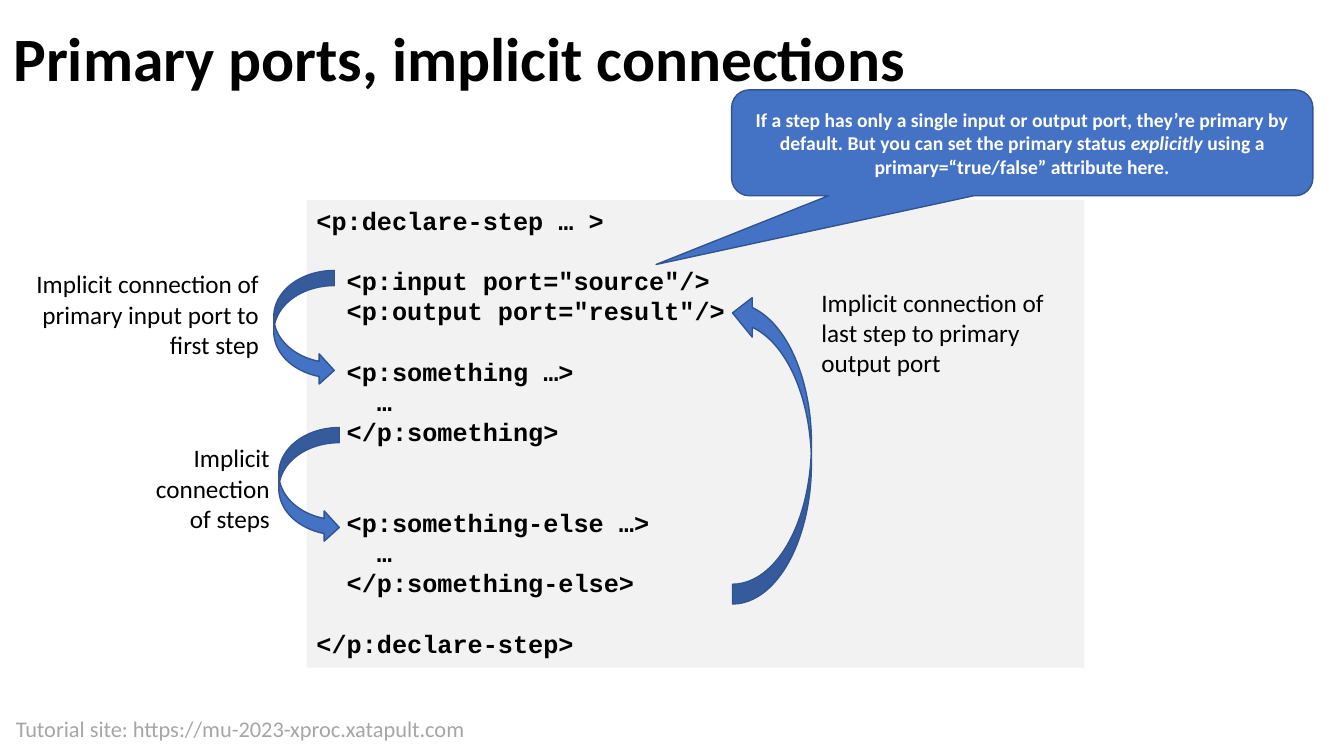
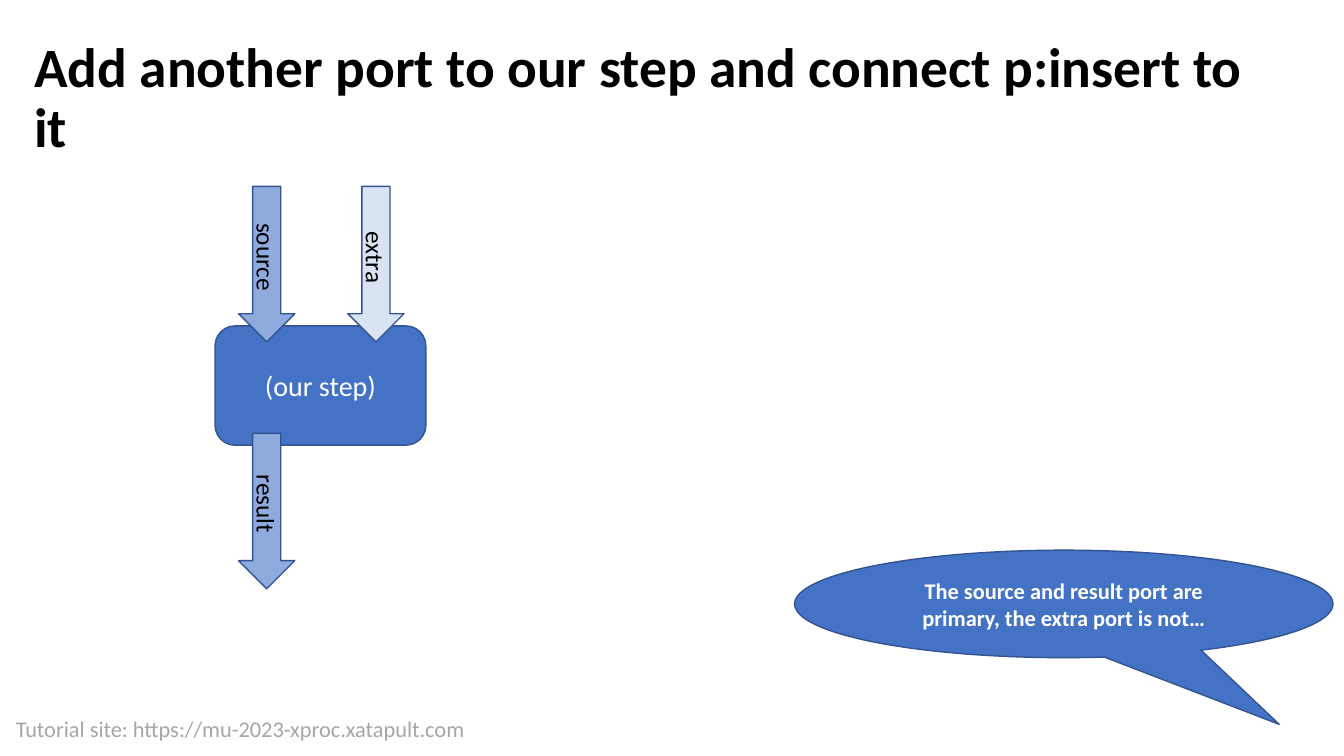
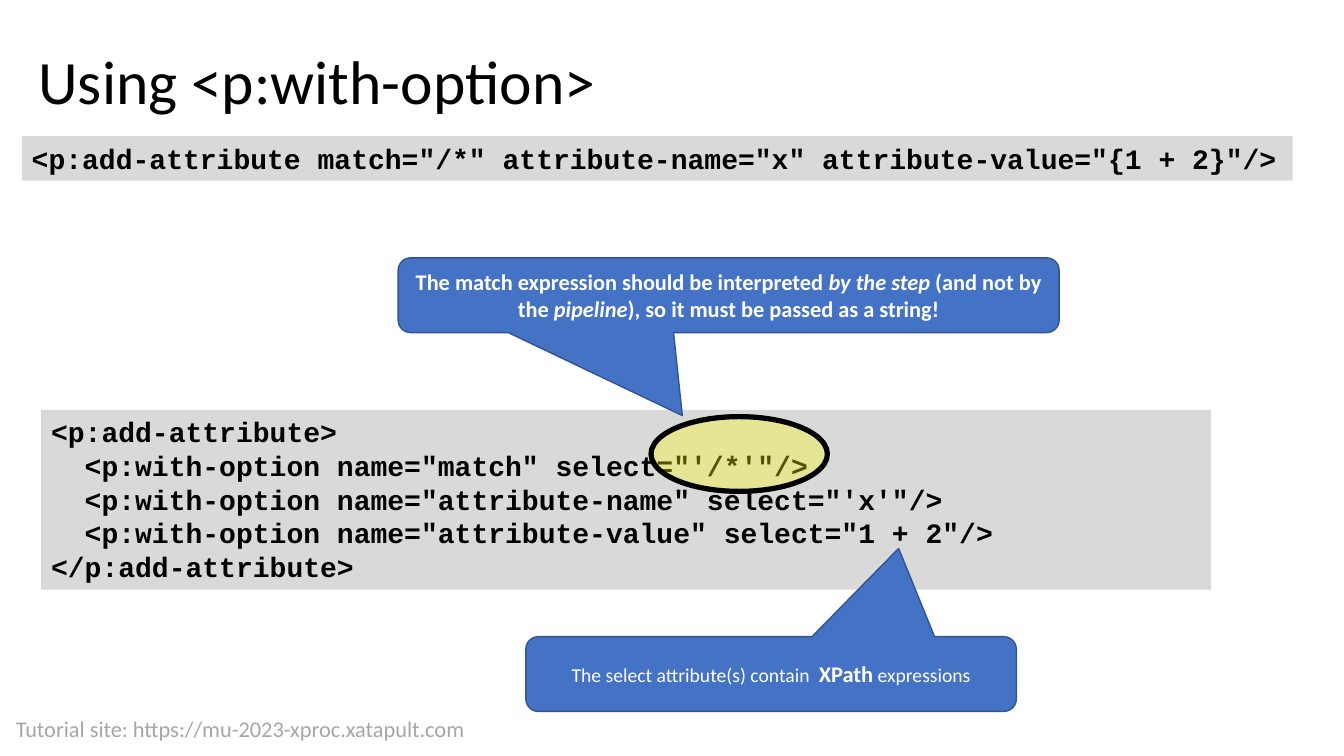
from dataclasses import dataclass

from lxml.etree import SubElement
from pptx import Presentation
from pptx.dml.color import RGBColor
from pptx.enum.shapes import MSO_SHAPE
from pptx.enum.text import MSO_ANCHOR, PP_ALIGN
from pptx.oxml.ns import qn
from pptx.util import Inches, Pt

CELL = 1 / 12  # one grid cell in inches: 160 columns by 90 rows
COLUMNS, ROWS = 160, 90


@dataclass(frozen=True)
class Theme:
    body_font: str = "Calibri"
    code_font: str = "Courier New"
    black: str = "000000"
    white: str = "FFFFFF"
    footer: str = "A6A6A6"
    accent: str = "4472C4"
    outline: str = "325491"
    primary_port: str = "8FAADC"
    extra_port: str = "DAE3F3"
    pale_panel: str = "F2F2F2"
    grey_panel: str = "D9D9D9"
    marker: str = "FFFF00"
    title_size: float = 44
    long_title_size: float = 39.6
    large_size: float = 20
    label_size: float = 18
    note_size: float = 16
    small_size: float = 14
    code_pitch: float = 1.2


THEME = Theme()


@dataclass(frozen=True)
class Box:
    """A region in grid cells."""
    left: float
    top: float
    width: float
    height: float

    def inner(self, column, row, width, height):
        return Box(self.left + column, self.top + row, width, height)

    def lengths(self):
        return [Inches(cells * CELL)
                for cells in (self.left, self.top, self.width, self.height)]


def write(shape, paragraphs, size=THEME.label_size, color=THEME.black,
          font=THEME.body_font, bold=False, align=PP_ALIGN.LEFT,
          anchor=MSO_ANCHOR.TOP, spacing=None):
    """Fill a shape with paragraphs: strings or lists of (text, run format)."""
    frame = shape.text_frame
    frame.word_wrap = True
    frame.vertical_anchor = anchor
    for index, content in enumerate(paragraphs):
        paragraph = frame.add_paragraph() if index else frame.paragraphs[0]
        paragraph.alignment = align
        if spacing:
            paragraph.line_spacing = spacing
        pieces = [(content, {})] if isinstance(content, str) else content
        for text, change in pieces:
            run = paragraph.add_run()
            run.text = text
            run.font.name = font
            run.font.size = Pt(change.get("size", size))
            run.font.bold = change.get("bold", bold)
            run.font.italic = change.get("italic", False)
            run.font.color.rgb = RGBColor.from_string(color)
    return frame


def add_text(slide, box, paragraphs, **text_format):
    return write(slide.shapes.add_textbox(*box.lengths()), paragraphs, **text_format)


def add_figure(slide, kind, box, fill=THEME.accent, line=THEME.outline,
               line_width=1, adjust=()):
    figure = slide.shapes.add_shape(kind, *box.lengths())
    figure.shadow.inherit = False
    figure.fill.solid()
    figure.fill.fore_color.rgb = RGBColor.from_string(fill)
    if line:
        figure.line.color.rgb = RGBColor.from_string(line)
        figure.line.width = Pt(line_width)
    else:
        figure.line.fill.background()
    for index, value in enumerate(adjust):
        figure.adjustments[index] = value
    return figure


def add_callout(slide, box, pieces, tip, size=THEME.note_size, bold=True,
                kind=MSO_SHAPE.ROUNDED_RECTANGULAR_CALLOUT):
    callout = add_figure(slide, kind, box, adjust=tip)
    write(callout, [pieces], size=size, color=THEME.white, bold=bold,
          align=PP_ALIGN.CENTER, anchor=MSO_ANCHOR.MIDDLE)


def add_code(slide, box, blocks, size, fill):
    """Each block is (blank lines above it, its lines)."""
    panel = add_figure(slide, MSO_SHAPE.RECTANGLE, box, fill, line=None)
    pitch = size * THEME.code_pitch
    lines = [line for _, block in blocks for line in block]
    frame = write(panel, lines, size=size, font=THEME.code_font, bold=True,
                  spacing=Pt(pitch))
    first = 0
    for blank_lines, block in blocks:
        if blank_lines:
            frame.paragraphs[first].space_before = Pt(blank_lines * pitch)
        first += len(block)


def new_slide(deck, title, title_box, size=THEME.title_size, bold=True):
    """Start a slide with the shared title style and footer."""
    slide = deck.slides.add_slide(deck.slide_layouts[6])
    add_text(slide, Box(0.7, 84.5, 70.9, 4.4),
             ["Tutorial site: https://mu-2023-xproc.xatapult.com"],
             size=THEME.note_size, color=THEME.footer)
    add_text(slide, title_box, [title], size=size, bold=bold,
             anchor=MSO_ANCHOR.MIDDLE, spacing=0.9)
    return slide


def connections_diagram(slide, box):
    # Pipeline code
    add_code(slide, box.inner(34.1, 0, 92.6, box.height), [
        (0, ["<p:declare-step … >"]),
        (1, ['  <p:input port="source"/>', '  <p:output port="result"/>']),
        (1, ["  <p:something …>", "    …", "  </p:something>"]),
        (2, ["  <p:something-else …>", "    …", "  </p:something-else>"]),
        (1, ["</p:declare-step>"]),
    ], THEME.label_size, THEME.pale_panel)

    # Curved arrows: between steps, to the output port, from the input port
    for column, row, width, height, turn in (
            (30.8, 27.1, 7.2, 13.7, 0),
            (84.8, 11.1, 9.4, 37, 180),
            (30.2, 8.4, 7.2, 13.7, 0)):
        arrow = add_figure(slide, MSO_SHAPE.CURVED_RIGHT_ARROW,
                           box.inner(column, row, width, height))
        arrow.rotation = turn

    # Arrow labels
    for column, row, width, align, label in (
            (14.8, 28.3, 16.1, PP_ALIGN.RIGHT, ["Implicit connection of steps"]),
            (94.2, 9.8, 29.6, PP_ALIGN.LEFT,
             ["Implicit connection of last step to primary output port"]),
            (0, 7.6, 29.6, PP_ALIGN.RIGHT,
             ["Implicit connection of", "primary input port to first step"])):
        add_text(slide, box.inner(column, row, width, 12.1), label, align=align)


def add_port(slide, box, label, fill):
    """Draw a downward arrow in an upright box; its label turns with it."""
    shift = (box.width - box.height) / 2
    lying = box.inner(shift, -shift, box.height, box.width)
    arrow = add_figure(slide, MSO_SHAPE.RIGHT_ARROW, lying, fill)
    arrow.rotation = 90
    write(arrow, [label], align=PP_ALIGN.CENTER, anchor=MSO_ANCHOR.MIDDLE)


def step_diagram(slide, box):
    step = add_figure(slide, MSO_SHAPE.ROUNDED_RECTANGLE,
                      box.inner(0, 16.6, box.width, 14.2))
    write(step, ["(our step)"], size=THEME.large_size, color=THEME.white,
          align=PP_ALIGN.CENTER, anchor=MSO_ANCHOR.MIDDLE)
    for column, row, label, fill in (
            (2.8, 0, "source", THEME.primary_port),
            (15.8, 0, "extra", THEME.extra_port),
            (2.8, 29.4, "result", THEME.primary_port)):
        add_port(slide, box.inner(column, row, 6.7, 18.5), label, fill)


def options_example(slide, box):
    add_code(slide, box.inner(0, 18.1, box.width, 21.4), [(0, [
        "<p:add-attribute>",
        "  <p:with-option name=\"match\" select=\"'/*'\"/>",
        "  <p:with-option name=\"attribute-name\" select=\"'x'\"/>",
        '  <p:with-option name="attribute-value" select="1 + 2"/>',
        "</p:add-attribute>",
    ])], THEME.large_size, THEME.grey_panel)

    # Translucent marker over the match expression
    marker = add_figure(slide, MSO_SHAPE.OVAL, box.inner(72.6, 18.9, 21, 8.9),
                        THEME.marker, THEME.black, 3.75)
    marker_color = marker.element.spPr.find(qn("a:solidFill"))[0]
    SubElement(marker_color, qn("a:alpha")).set("val", "32000")

    # Explanations
    add_callout(slide, box.inner(57.7, 45.1, 58.4, 8.9), [
        ("The select attribute(s) contain  ", {}),
        ("XPath", {"size": THEME.note_size, "bold": True}),
        (" expressions", {}),
    ], (0.26, -1.68), size=THEME.small_size, bold=False)
    add_callout(slide, box.inner(42.5, 0, 78.7, 8.9), [
        ("The match expression should be interpreted ", {}),
        ("by the step", {"italic": True}),
        (" (and not by the ", {}),
        ("pipeline", {"italic": True}),
        ("), so it must be passed as a string!", {}),
    ], (-0.07, 1.61))


def ports_slide(deck):
    slide = new_slide(deck, "Primary ports, implicit connections",
                      Box(0.4, 0, 143.9, 14.6))
    connections_diagram(slide, Box(2.4, 23.8, 126.7, 55.7))
    add_callout(slide, Box(87.1, 10.7, 69.2, 12.6), [
        ("If a step has only a single input or output port, they’re primary by "
         "default. But you can set the primary status ", {}),
        ("explicitly", {"italic": True}),
        (" using a primary=“true/false” attribute here.", {}),
    ], (-0.63, 1.15), size=THEME.small_size)


def extra_port_slide(deck):
    slide = new_slide(deck, "Add another port to our step and connect p:insert to it",
                      Box(2.9, 5.4, 151.6, 12.8), size=THEME.long_title_size)
    step_diagram(slide, Box(25.6, 22.2, 25.1, 48))
    add_callout(slide, Box(94.6, 65.5, 64.1, 12.8),
                "The source and result port are primary, the extra port is not…",
                (0.4, 1.12), kind=MSO_SHAPE.OVAL_CALLOUT)


def with_option_slide(deck):
    slide = new_slide(deck, "Using <p:with-option>", Box(3.4, 4.6, 138, 10.9),
                      bold=False)
    add_code(slide, Box(2.6, 16.2, 151.3, 5.3), [(0, [
        '<p:add-attribute match="/*" attribute-name="x" attribute-value="{1 + 2}"/>',
    ])], THEME.large_size, THEME.grey_panel)
    options_example(slide, Box(4.9, 30.7, 139.3, 54))


def main():
    deck = Presentation()
    deck.slide_width = Inches(COLUMNS * CELL)
    deck.slide_height = Inches(ROWS * CELL)
    ports_slide(deck)
    extra_port_slide(deck)
    with_option_slide(deck)
    deck.save("out.pptx")


if __name__ == "__main__":
    main()
